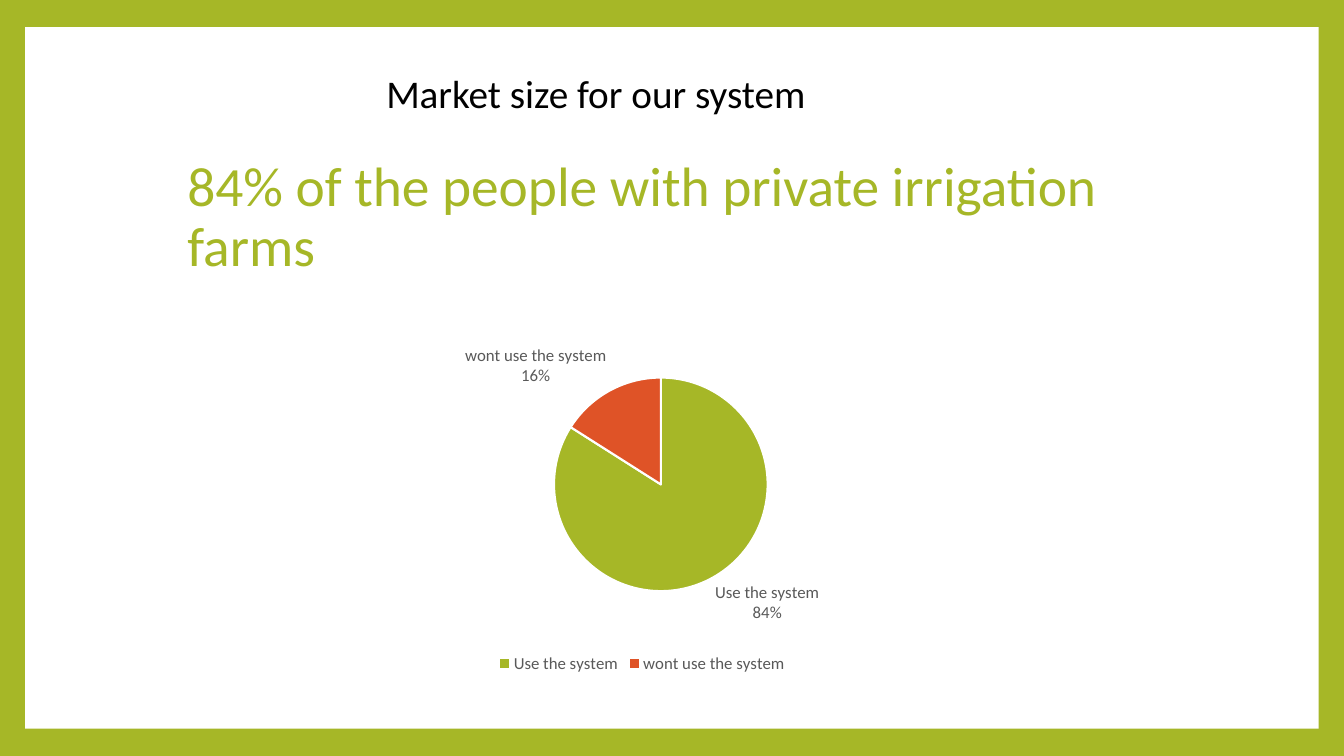
"""Build the market size slide: a headline over a pie of expected users."""
from pptx import Presentation
from pptx.chart.data import CategoryChartData
from pptx.dml.color import RGBColor
from pptx.enum.chart import XL_CHART_TYPE, XL_LABEL_POSITION, XL_LEGEND_POSITION
from pptx.enum.shapes import MSO_SHAPE
from pptx.enum.text import MSO_ANCHOR, PP_ALIGN
from pptx.util import Inches, Pt

LIME = RGBColor(0xA6, 0xB7, 0x27)
RUST = RGBColor(0xDF, 0x53, 0x27)
GREY = RGBColor(0x59, 0x59, 0x59)
BLACK = RGBColor(0, 0, 0)
WHITE = RGBColor(255, 255, 255)
FACE = "Calibri"

WIDE, HIGH = 13.33, 7.5
EDGE_X, EDGE_Y = 0.25, 0.27
LEFT = 2.69
SHARES = [("Use the system", 84, LIME), ("wont use the system", 16, RUST)]
TEXTS = [
    {"text": "84% of the people with private irrigation farms",
     "box": (1.76, 1.58, 10.29, 1.17), "size": 39.6, "color": LIME,
     "anchor": MSO_ANCHOR.MIDDLE,
     "para": {"alignment": PP_ALIGN.LEFT, "line_spacing": 0.9}},
    {"text": "Market size for our system",
     "box": (LEFT, 0.64, 6.44, 0.57), "size": 28, "color": BLACK,
     "anchor": MSO_ANCHOR.TOP, "para": {"alignment": PP_ALIGN.CENTER}},
]
PIE_BOX = (LEFT, 3.24, 7.36, 3.48)
LABELS = {"show_percentage": True, "show_category_name": True,
          "show_value": False, "show_legend_key": False,
          "position": XL_LABEL_POSITION.OUTSIDE_END}
LEGEND = {"position": XL_LEGEND_POSITION.BOTTOM, "include_in_layout": False}


def put(item, values):
    for name, value in values.items():
        setattr(item, name, value)


def style(font, size, color):
    put(font, {"name": FACE, "size": Pt(size)})
    font.color.rgb = color


def paint(fill, color):
    fill.solid()
    fill.fore_color.rgb = color


def add_panel(slide):
    box = (EDGE_X, EDGE_Y, WIDE - 2 * EDGE_X, HIGH - 2 * EDGE_Y)
    panel = slide.shapes.add_shape(MSO_SHAPE.RECTANGLE, *map(Inches, box))
    panel.shadow.inherit = False
    paint(panel.fill, WHITE)
    panel.line.fill.background()


def add_text(slide, item):
    frame = slide.shapes.add_textbox(*map(Inches, item["box"])).text_frame
    put(frame, {"word_wrap": True, "vertical_anchor": item["anchor"]})
    para = frame.paragraphs[0]
    put(para, item["para"])
    run = para.add_run()
    run.text = item["text"]
    style(run.font, item["size"], item["color"])


def add_pie(slide):
    names, values, colors = zip(*SHARES)
    data = CategoryChartData()
    data.categories = names
    data.add_series("Series 1", values)
    chart = slide.shapes.add_chart(
        XL_CHART_TYPE.PIE, *map(Inches, PIE_BOX), data).chart
    put(chart, {"has_title": False, "has_legend": True})
    style(chart.font, 10, BLACK)
    put(chart.legend, LEGEND)
    style(chart.legend.font, 12, GREY)
    plot = chart.plots[0]
    plot.vary_by_categories = True
    series = plot.series[0]
    put(series.data_labels, LABELS)
    style(series.data_labels.font, 12, GREY)
    for index, color in enumerate(colors):
        look = series.points[index].format
        paint(look.fill, color)
        look.line.color.rgb = WHITE
        look.line.width = Pt(1.5)


def main():
    deck = Presentation()
    put(deck, {"slide_width": Inches(WIDE), "slide_height": Inches(HIGH)})
    slide = deck.slides.add_slide(deck.slide_layouts[6])
    paint(slide.background.fill, LIME)
    add_panel(slide)
    for item in TEXTS:
        add_text(slide, item)
    add_pie(slide)
    deck.save("out.pptx")


if __name__ == "__main__":
    main()
